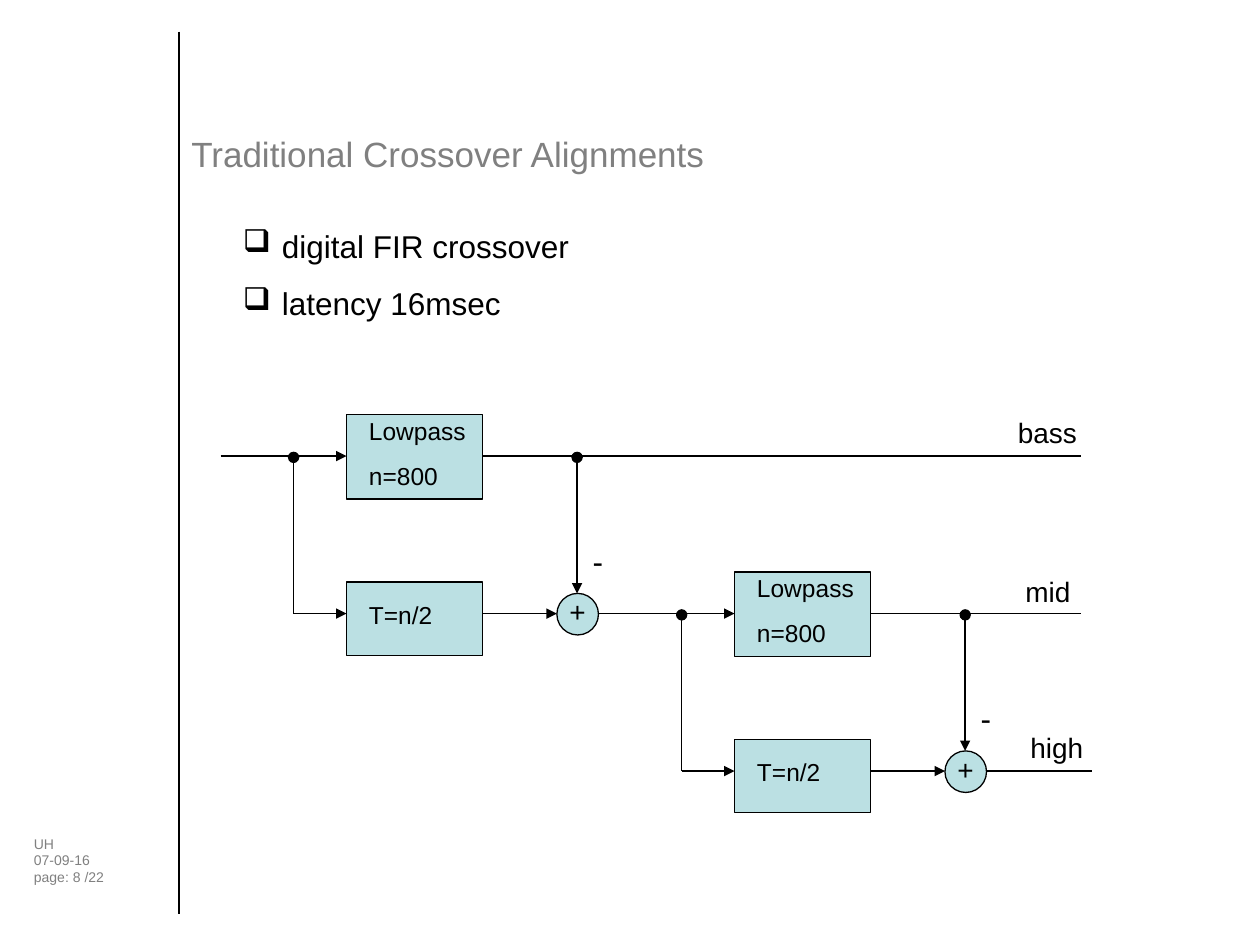
import pptx
import pptx.util
import pptx.dml.color
import pptx.enum.shapes
import pptx.enum.text
from lxml import etree

Inches, Pt = pptx.util.Inches, pptx.util.Pt
RGB = pptx.dml.color.RGBColor.from_string
Shape = pptx.enum.shapes.MSO_SHAPE
Align = pptx.enum.text.PP_ALIGN


class Theme:
    font = "Arial"
    ink, grey, fill = "000000", "808080", "BBE0E3"
    line = 0.75
    foot, block, label, body, title = 8, 14, 16, 18, 20


class Deck:
    def __init__(self, theme):
        self.theme = theme
        self.file = pptx.Presentation()
        self.file.slide_width, self.file.slide_height = Inches(10), Inches(7.5)
        self.slide = self.file.slides.add_slide(self.file.slide_layouts[6])

    def text(self, at, lines, size, color=None, gap=0, align=Align.LEFT, bullet=None):
        box = self.slide.shapes.add_textbox(*map(Inches, at))
        frame = box.text_frame
        frame.word_wrap = True
        for i, line in enumerate(lines):
            par = frame.paragraphs[0] if i == 0 else frame.add_paragraph()
            if bullet:
                self.bullet(par, bullet)
            par.text = line
            par.alignment = align
            if i and gap:
                par.space_before = Pt(gap)
            style = {"name": self.theme.font, "size": Pt(size)}
            for key, value in style.items():
                setattr(par.font, key, value)
            par.font.color.rgb = RGB(color or self.theme.ink)

    def bullet(self, par, mark):
        props = par._p.get_or_add_pPr()
        indent = Inches(0.31)
        props.set("marL", str(indent))
        props.set("indent", str(-indent))
        node = etree.SubElement(props, pptx.oxml.ns.qn("a:buChar"))
        node.set("char", mark)

    def shape(self, kind, at, fill):
        item = self.slide.shapes.add_shape(kind, *map(Inches, at))
        item.shadow.inherit = False
        item.fill.solid()
        item.fill.fore_color.rgb = RGB(fill)
        self.stroke(item.line)

    def stroke(self, line):
        line.color.rgb = RGB(self.theme.ink)
        line.width = Pt(self.theme.line)

    def wire(self, start, end, arrow=False):
        kind = pptx.enum.shapes.MSO_CONNECTOR.STRAIGHT
        item = self.slide.shapes.add_connector(kind, *map(Inches, (*start, *end)))
        self.stroke(item.line)
        if arrow:
            tail = etree.SubElement(item.line._get_or_add_ln(), pptx.oxml.ns.qn("a:tailEnd"))
            tail.set("type", "triangle")
        etree.SubElement(item._element.spPr, pptx.oxml.ns.qn("a:effectLst"))

    def dot(self, x, y):
        self.shape(Shape.OVAL, (x, y, 0.08, 0.08), self.theme.ink)

    def block(self, x, y, high, drop, lines):
        self.shape(Shape.RECTANGLE, (x, y, 1.08, high), self.theme.fill)
        self.text((x + 0.08, y + drop, 1, 0.34 * len(lines)), lines,
                  self.theme.block, gap=8.8)

    def stage(self, x, y, entry):
        """One crossover stage; x is the left edge of its blocks, y its upper wire."""
        low, split, tap = y + 1.25, x - 0.42, x + 1.83
        # Filter, delay and adder
        self.block(x, y - 0.33, 0.67, -0.04, ["Lowpass", "n=800"])
        self.block(x, y + 1, 0.58, 0.09, ["T=n/2"])
        self.shape(Shape.OVAL, (x + 1.67, low - 0.16, 0.33, 0.33), self.theme.fill)
        self.text((x + 1.67, low - 0.2, 0.58, 0.37), ["+"], self.theme.label)
        self.text((tap, y + 0.63, 0.33, 0.4), ["-"], self.theme.body, align=Align.CENTER)
        # Wires and junctions
        self.wire((entry, y), (x, y), True)
        self.wire((split, low), (split, y))
        self.wire((split, low), (x, low), True)
        self.wire((x + 1.08, low), (x + 1.67, low), True)
        self.wire((tap, y), (tap, low - 0.16), True)
        for left in (split, tap):
            self.dot(left - 0.04, y - 0.03)


def main():
    theme = Theme()
    deck = Deck(theme)

    # Page frame
    deck.wire((1.42, 0.25), (1.42, 7.25))
    deck.text((0.17, 6.58, 1.18, 0.64), ["UH", "07-09-16", "page: 8 /22"],
              theme.foot, theme.grey)
    deck.text((1.42, 1, 6.77, 0.42), ["Traditional Crossover Alignments"],
              theme.title, theme.grey)

    # Key points
    deck.text((1.83, 1.75, 2.83, 0.86), ["digital FIR crossover", "latency 16msec"],
              theme.body, gap=11.2, bullet="❑")

    # Two cascaded stages
    for x, y, entry in ((2.75, 3.62, 1.75), (5.83, 4.87, 4.75)):
        deck.stage(x, y, entry)

    # Outputs: wire start, wire end, wire height, label place
    for name, start, end, y, left, top in (
        ("bass", 3.83, 8.58, 3.62, 7.98, 3.25),
        ("mid", 6.91, 8.58, 4.87, 8.04, 4.51),
        ("high", 7.83, 8.67, 6.12, 8.08, 5.75),
    ):
        deck.wire((start, y), (end, y))
        deck.text((left, top, 0.82, 0.37), [name], theme.label)

    deck.file.save("out.pptx")


if __name__ == "__main__":
    main()
